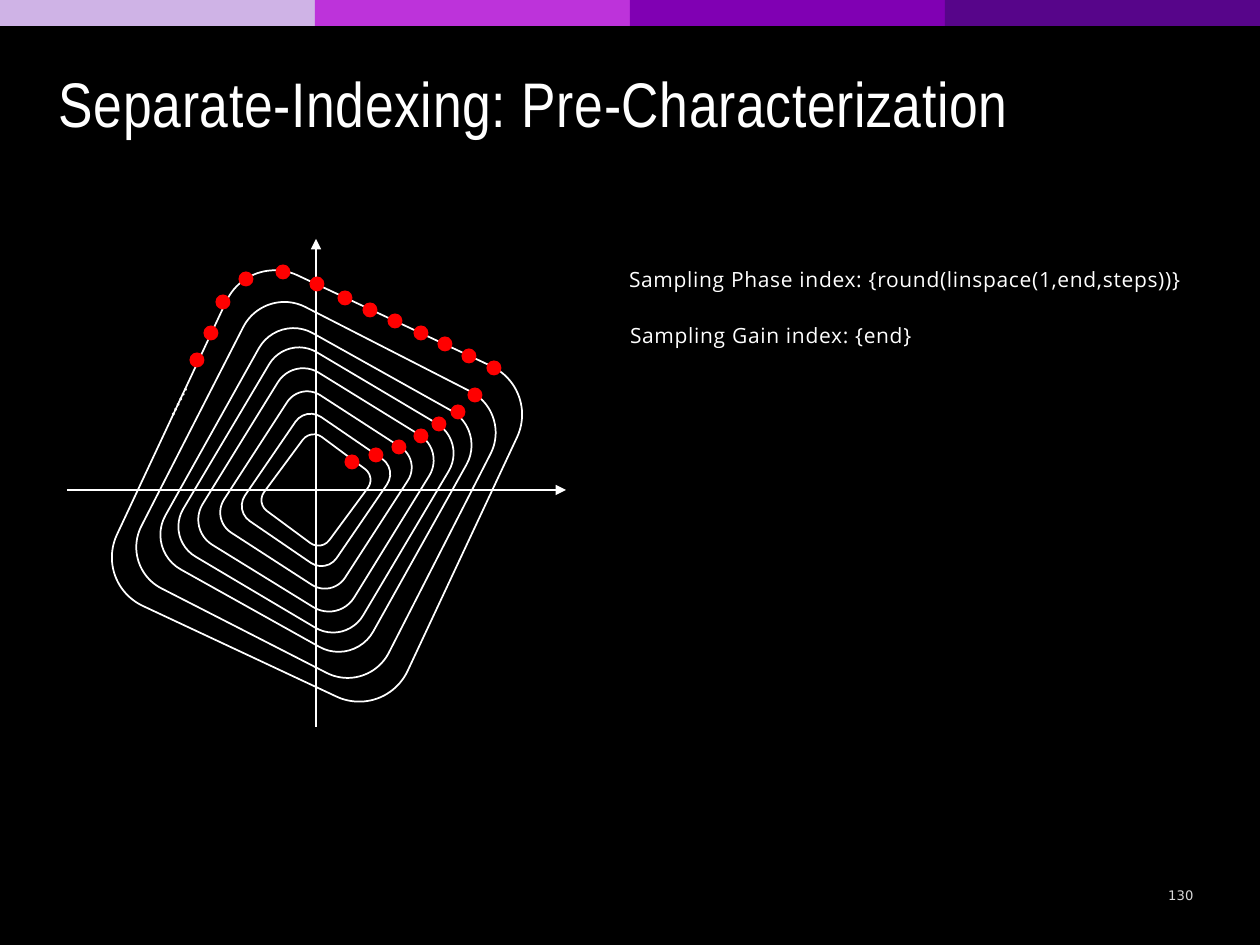
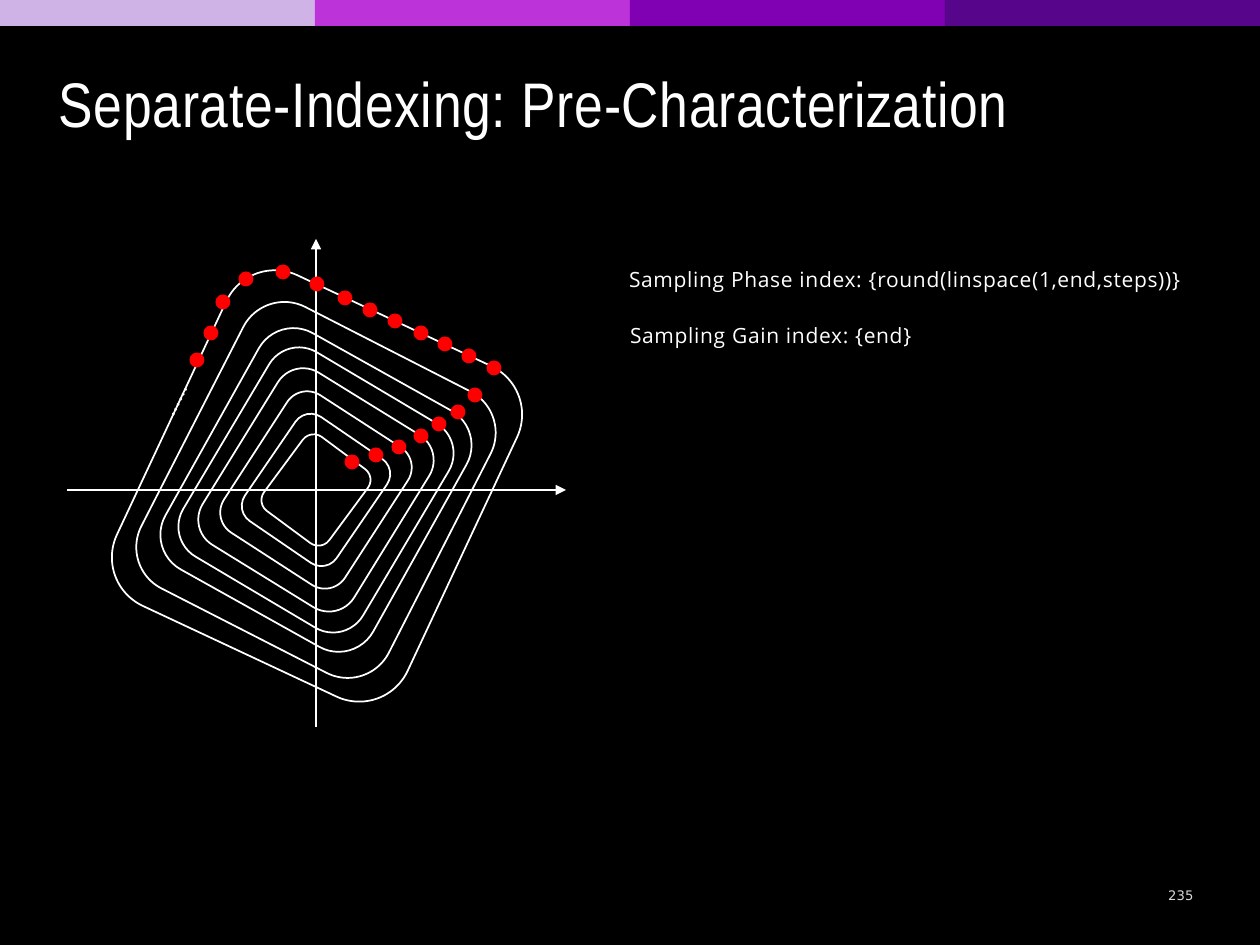
from lxml import etree
from pptx import Presentation
from pptx.dml.color import RGBColor
from pptx.enum.shapes import MSO_CONNECTOR, MSO_SHAPE
from pptx.enum.text import MSO_ANCHOR, PP_ALIGN
from pptx.oxml.ns import qn
from pptx.util import Pt

STRAIGHT = MSO_CONNECTOR.STRAIGHT
RECTANGLE = MSO_SHAPE.RECTANGLE
ROUNDED = MSO_SHAPE.ROUNDED_RECTANGLE
OVAL = MSO_SHAPE.OVAL
MIDDLE, BOTTOM = MSO_ANCHOR.MIDDLE, MSO_ANCHOR.BOTTOM
LEFT, CENTER = PP_ALIGN.LEFT, PP_ALIGN.CENTER

# Shared look; lengths are px at 126 px to the inch
EMU_PER_PX = 914400 / 126
PAGE_WIDTH, PAGE_HEIGHT = 1260, 945
BLACK, WHITE, GRAY, RED = "000000", "FFFFFF", "D9D9D9", "FF0000"
BAND_COLORS = ["CFB3E6", "BD33DA", "8000B3", "57058A"]
BAND_HEIGHT = 26
TITLE_FONT, BODY_FONT, NUMBER_FONT = "Arial Narrow", "Open Sans", "DejaVu Sans"

# Diagram: nested contours around the origin, sampled by dots
ORIGIN = (316, 490)
OUTER_CENTER = (317, 486)
CONTOUR_RATIO = 1.137
OUTER_CONTOUR = (321, 25.1)
INNER_CONTOURS = [  # width, rotation
    (278, 27.1), (238, 29.2), (209, 30.7), (178, 31.7),
    (144, 32.9), (111, 34.4), (81, 36.5),
]
DOT_SIZE = 15
GAIN_SAMPLES = [
    (352, 462), (376, 455), (399, 447), (421, 436),
    (439, 424), (458, 412), (475, 395),
]
PHASE_SAMPLES = [
    (494, 368), (469, 356), (445, 344), (421, 333), (395, 321),
    (370, 310), (345, 298), (317, 284), (283, 272), (246, 279),
    (223, 302), (211, 333), (197, 360),
]


def px(length):
    return round(length * EMU_PER_PX)


def color(hex_string):
    return RGBColor.from_string(hex_string)


def add_solid(page, kind, left, top, width, height, fill):
    shape = page.shapes.add_shape(kind, px(left), px(top), px(width), px(height))
    shape.shadow.inherit = False
    shape.fill.solid()
    shape.fill.fore_color.rgb = color(fill)
    shape.line.fill.background()


def add_contour(page, center, width, rotation):
    height = width * CONTOUR_RATIO
    left, top = center[0] - width / 2, center[1] - height / 2
    contour = page.shapes.add_shape(ROUNDED, px(left), px(top), px(width), px(height))
    contour.shadow.inherit = False
    contour.fill.background()
    contour.line.color.rgb = color(WHITE)
    contour.line.width = Pt(1)
    contour.rotation = rotation


def add_axis(page, start, end):
    axis = page.shapes.add_connector(STRAIGHT, *map(px, start + end))
    axis.line.color.rgb = color(WHITE)
    axis.line.width = Pt(1.5)
    etree.SubElement(axis.line._get_or_add_ln(), qn("a:tailEnd"), type="triangle")
    etree.SubElement(axis._element.spPr, qn("a:effectLst"))


def add_text(page, text, left, top, width, height, size, font=BODY_FONT,
             fill=WHITE, align=LEFT, anchor=BOTTOM, inset=0, spacing=40):
    box = page.shapes.add_textbox(px(left), px(top), px(width), px(height))
    frame = box.text_frame
    frame.word_wrap = True
    frame.vertical_anchor = anchor
    frame.margin_left = px(inset)
    para = frame.paragraphs[0]
    para.alignment = align
    span = para.add_run()
    span.text = text
    span._r.get_or_add_rPr().set("spc", str(spacing))
    para.font.name = font
    para.font.size = Pt(size)
    para.font.color.rgb = color(fill)
    return box


def add_page(deck, title, number):
    page = deck.slides.add_slide(deck.slide_layouts[6])
    page.background.fill.solid()
    page.background.fill.fore_color.rgb = color(BLACK)
    band_width = PAGE_WIDTH / len(BAND_COLORS)
    for index, fill in enumerate(BAND_COLORS):
        add_solid(page, RECTANGLE, index * band_width, 0, band_width, BAND_HEIGHT, fill)
    add_text(page, title, 59, 63, 1086, 83, 36, TITLE_FONT)
    add_text(page, str(number), 1152, 878, 57, 34, 7.5, NUMBER_FONT, GRAY,
             CENTER, MIDDLE, inset=13, spacing=0)
    return page


def add_sampling_diagram(page):
    add_axis(page, (67, ORIGIN[1]), (566, ORIGIN[1]))
    add_axis(page, (ORIGIN[0], 727), (ORIGIN[0], 239))
    add_contour(page, OUTER_CENTER, *OUTER_CONTOUR)
    for width, rotation in INNER_CONTOURS:
        add_contour(page, ORIGIN, width, rotation)
    for x, y in GAIN_SAMPLES + PHASE_SAMPLES:
        add_solid(page, OVAL, x - DOT_SIZE / 2, y - DOT_SIZE / 2,
                  DOT_SIZE, DOT_SIZE, RED)
    ellipsis = add_text(page, "……", 142, 357, 78, 42, 12)
    ellipsis.rotation = 296.5


def main():
    deck = Presentation()
    deck.slide_width, deck.slide_height = px(PAGE_WIDTH), px(PAGE_HEIGHT)
    for number in (130, 235):
        page = add_page(deck, "Separate-Indexing: Pre-Characterization", number)
        add_sampling_diagram(page)
        add_text(page, "Sampling Phase index: {round(linspace(1,end,steps))}",
                 629, 215, 648, 83, 12)
        add_text(page, "Sampling Gain index: {end}", 630, 312, 672, 42, 12)
    deck.save("out.pptx")


if __name__ == "__main__":
    main()
